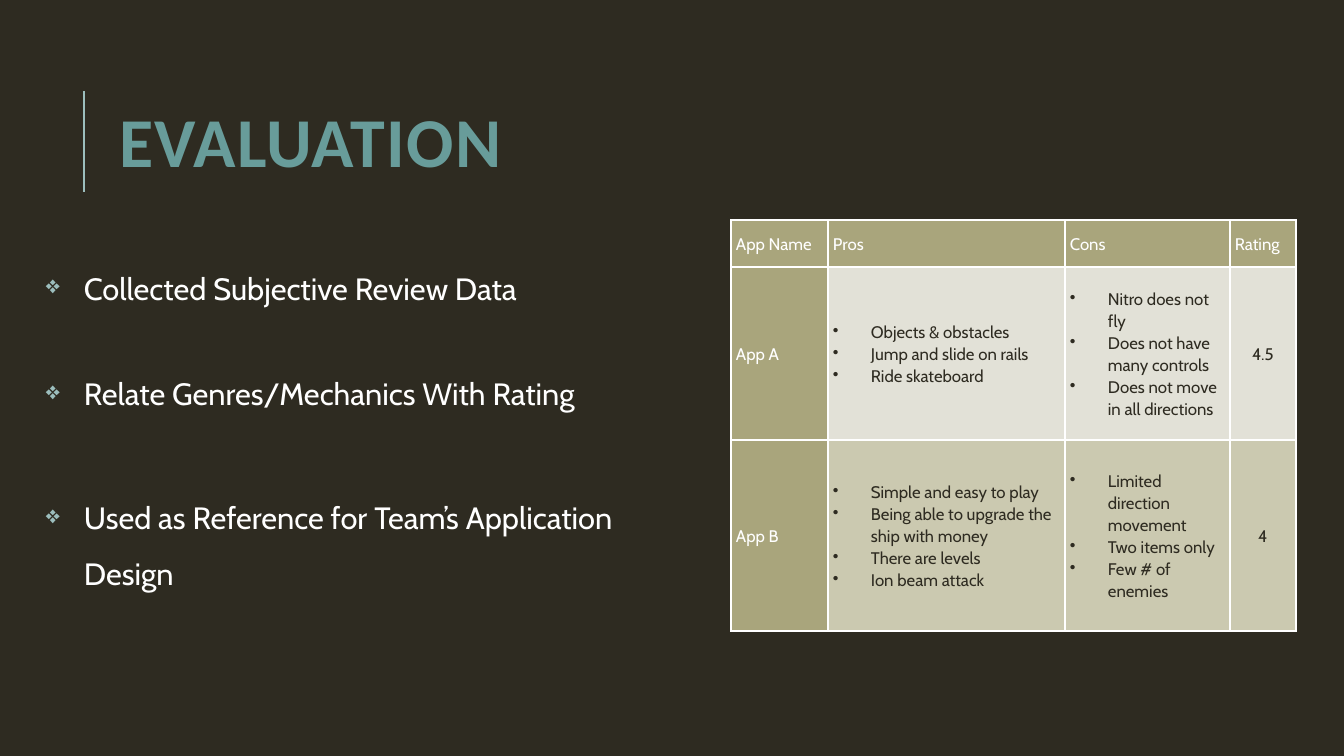
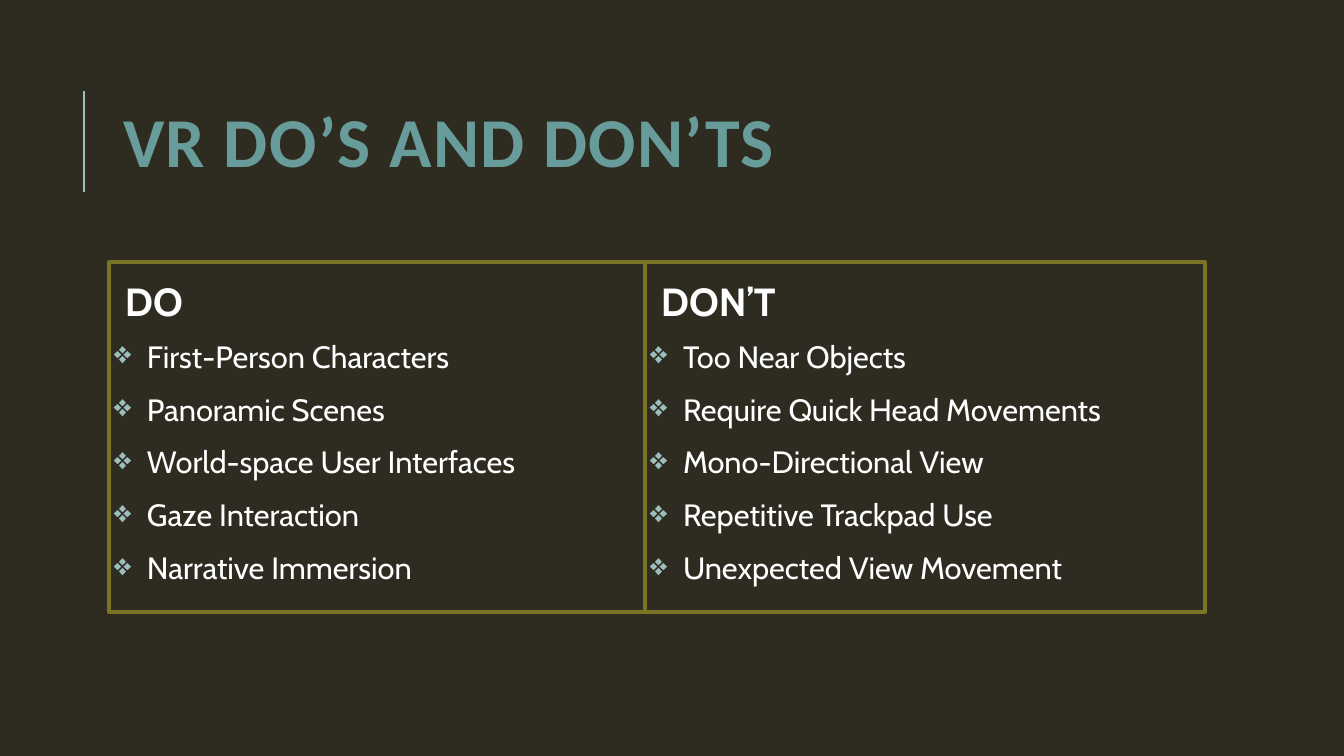
from lxml import etree
from pptx import Presentation
from pptx import util as u
from pptx.dml.color import RGBColor
from pptx.enum import shapes, text
from pptx.oxml import ns

DARK = RGBColor(0x2E, 0x2B, 0x21)
WHITE = RGBColor(0xFF, 0xFF, 0xFF)
TEAL = RGBColor(0x68, 0x9C, 0x9A)
PALE_TEAL = RGBColor(0x9C, 0xBE, 0xBD)
OLIVE = RGBColor(0x7A, 0x74, 0x25)
KHAKI = RGBColor(0xA9, 0xA5, 0x7C)
BANDS = (RGBColor(0xE2, 0xE1, 0xD7), RGBColor(0xCB, 0xC9, 0xB0))
HEAD_FONT, BODY_FONT = "Calibri", "Cabin"
SCALE = 914400 / 100.8


def px(n):
    return u.Emu(round(n * SCALE))


def sub(parent, tag, **attrs):
    return etree.SubElement(parent, ns.qn(tag), {k: str(v) for k, v in attrs.items()})


class Deck:
    """Hold the shared style and the slide being built."""

    def __init__(self):
        self.prs = Presentation()
        self.prs.slide_width, self.prs.slide_height = px(1344), px(756)
        fill = self.prs.slide_master.background.fill
        fill.solid()
        fill.fore_color.rgb = DARK

    def slide(self, title, left):
        self.s = self.prs.slides.add_slide(self.prs.slide_layouts[5])
        self.rule(84, 91, 84, 192)
        sp = self.s.shapes.title
        sp.left, sp.top, sp.width, sp.height = px(left), px(97), px(1143), px(101)
        tf = sp.text_frame
        tf.text = title
        tf.auto_size = text.MSO_AUTO_SIZE.NONE
        tf.vertical_anchor = text.MSO_ANCHOR.MIDDLE
        p = tf.paragraphs[0]
        p.alignment, p.line_spacing = text.PP_ALIGN.LEFT, 0.8
        r = p.runs[0]
        self.style(r, 50, TEAL, True, HEAD_FONT)
        r.font._element.set("spc", "100")

    def style(self, r, size, color, bold=False, font=BODY_FONT):
        r.font.name, r.font.size, r.font.bold = font, u.Pt(size), bold
        r.font.color.rgb = color

    def rule(self, x1, y1, x2, y2):
        line = self.s.shapes.add_connector(
            shapes.MSO_CONNECTOR.STRAIGHT, px(x1), px(y1), px(x2), px(y2))
        line.line.color.rgb, line.line.width = PALE_TEAL, u.Pt(1.5)
        sub(line._element.spPr, "a:effectLst")

    def bullet(self, p, char, indent, color=None, percent=None):
        pPr = p._p.get_or_add_pPr()
        pPr.set("marL", str(px(indent)))
        pPr.set("indent", str(-px(indent)))
        if color is not None:
            sub(sub(pPr, "a:buClr"), "a:srgbClr", val=color)
        if percent:
            sub(pPr, "a:buSzPct", val=percent * 1000)
        sub(pPr, "a:buChar", char=char)

    def bullets(self, tf, items, indent, spacing, gaps, percent=None):
        tf.text = "\n".join(items)
        for p, gap in zip(tf.paragraphs, gaps):
            self.bullet(p, "❖", indent, PALE_TEAL, percent)
            p.alignment, p.line_spacing = text.PP_ALIGN.LEFT, spacing
            p.space_before = u.Pt(gap)
            self.style(p.runs[0], 22, WHITE)

    def textbox(self, x, y, w, h):
        tf = self.s.shapes.add_textbox(px(x), px(y), px(w), px(h)).text_frame
        tf.word_wrap = True
        return tf

    def panel(self, x, y, w, h, heading, items):
        sp = self.s.shapes.add_shape(
            shapes.MSO_SHAPE.RECTANGLE, px(x), px(y), px(w), px(h))
        sp.shadow.inherit = False
        sp.fill.background()
        sp.line.color.rgb, sp.line.width = OLIVE, u.Pt(3)
        tf = sp.text_frame
        tf.word_wrap = True
        tf.vertical_anchor = text.MSO_ANCHOR.MIDDLE
        tf.margin_left = tf.margin_right = tf.margin_bottom = px(5)
        tf.margin_top = px(59)
        self.bullets(tf, items, 33, 0.9, [0] + [14] * (len(items) - 1))
        tf = self.textbox(x + 6, y + 10, 200, 57)
        tf.text = heading
        self.style(tf.paragraphs[0].runs[0], 28, WHITE, True)

    def cell(self, cell, value, fill, color):
        tcPr = cell._tc.get_or_add_tcPr()
        for side in ("a:lnL", "a:lnR", "a:lnT", "a:lnB"):
            ln = sub(tcPr, side, w=u.Pt(1))
            sub(sub(ln, "a:solidFill"), "a:srgbClr", val=WHITE)
        cell.fill.solid()
        cell.fill.fore_color.rgb = fill
        cell.vertical_anchor = text.MSO_ANCHOR.MIDDLE
        cell.margin_left = cell.margin_right = px(5)
        cell.margin_top = cell.margin_bottom = 0
        listed = isinstance(value, list)
        cell.text_frame.text = "\n".join(value) if listed else value
        for p in cell.text_frame.paragraphs:
            if listed:
                self.bullet(p, "•", 38)
            p.line_spacing = 1.07
            self.style(p.runs[0], 12, color)

    def table(self, x, y, widths, heights, rows):
        table = self.s.shapes.add_table(
            len(rows), len(widths), px(x), px(y), px(sum(widths)), px(sum(heights))).table
        for col, w in zip(table.columns, widths):
            col.width = px(w)
        for row, h in zip(table.rows, heights):
            row.height = px(h)
        for i, row in enumerate(rows):
            for j, value in enumerate(row):
                header = i == 0 or j == 0
                cell = table.cell(i, j)
                self.cell(cell, value, KHAKI if header else BANDS[(i - 1) % 2],
                          WHITE if header else DARK)
                if i and j == len(row) - 1:
                    cell.text_frame.paragraphs[0].alignment = text.PP_ALIGN.CENTER


def main():
    deck = Deck()

    deck.slide("EVALUATION", 109)
    deck.table(731, 220, (97, 237, 165, 66), (47, 173, 191), [
        ["App Name", "Pros", "Cons", "Rating"],
        ["App A",
         ["Objects & obstacles", "Jump and slide on rails", "Ride skateboard"],
         ["Nitro does not fly", "Does not have many controls",
          "Does not move in all directions"],
         "4.5"],
        ["App B",
         ["Simple and easy to play", "Being able to upgrade the ship with money",
          "There are levels", "Ion beam attack"],
         ["Limited direction movement", "Two items only", "Few # of enemies"],
         "4"],
    ])
    deck.bullets(deck.textbox(36, 246, 645, 442), [
        "Collected Subjective Review Data",
        "Relate Genres/Mechanics With Rating",
        "Used as Reference for Team’s Application Design",
    ], 38, 1.5, (0, 36, 49), 80)

    deck.slide("VR DO’S AND DON’TS", 113)
    deck.panel(109, 262, 536, 350, "DO", [
        "First-Person Characters", "Panoramic Scenes", "World-space User Interfaces",
        "Gaze Interaction", "Narrative Immersion"])
    deck.panel(645, 262, 560, 350, "DON’T", [
        "Too Near Objects", "Require Quick Head Movements", "Mono-Directional View",
        "Repetitive Trackpad Use", "Unexpected View Movement"])

    deck.prs.save("out.pptx")


if __name__ == "__main__":
    main()
